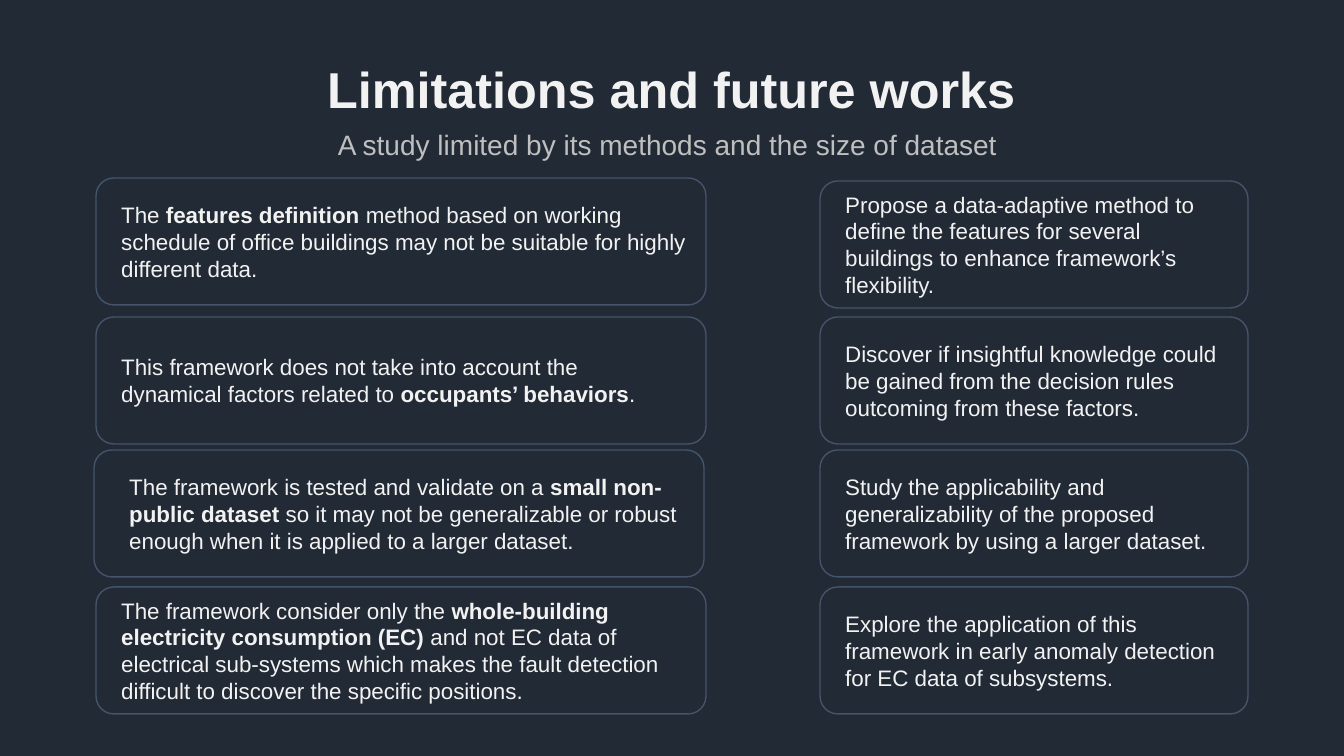
from pptx import Presentation
from pptx.dml.color import RGBColor
from pptx.enum.shapes import MSO_SHAPE
from pptx.enum.text import MSO_ANCHOR, PP_ALIGN
from pptx.util import Emu, Pt

ROUNDED = MSO_SHAPE.ROUNDED_RECTANGLE
MIDDLE, TOP = MSO_ANCHOR.MIDDLE, MSO_ANCHOR.TOP
CENTER, LEFT = PP_ALIGN.CENTER, PP_ALIGN.LEFT

EMU_PER_PX = 914400 / 100.8
FONT = "Arial"
COLORS = {
    "background": "222A35",
    "text": "F2F2F2",
    "subtitle": "BFBFBF",
    "outline": "44546A",
}
CARD_HEIGHT = 127
LIMITATION_WIDTH = 610
FUTURE_WORK_LEFT, FUTURE_WORK_WIDTH = 820, 428

LIMITATIONS = [
    (96, 178, 20, 10, [
        ("The", False),
        (" features definition ", True),
        ("method based on working schedule of office buildings may not be "
         "suitable for highly different data.", False),
    ]),
    (96, 317, 20, 20, [
        ("This framework does not take into account the dynamical factors "
         "related to ", False),
        ("occupants’ behaviors", True),
        (".", False),
    ]),
    (94, 450, 30, 10, [
        ("The framework is tested and validate on a ", False),
        ("small non-public dataset", True),
        (" so it may not be generalizable or robust enough when it is "
         "applied to a larger dataset.", False),
    ]),
    (96, 587, 20, 10, [
        ("The framework consider only the ", False),
        ("whole-building electricity consumption (EC) ", True),
        ("and not EC data of electrical sub-systems which makes the fault "
         "detection difficult to discover the specific positions.", False),
    ]),
]

FUTURE_WORKS = [
    (181, "Propose a data-adaptive method to define the features for several "
          "buildings to enhance framework’s flexibility."),
    (317, "Discover if insightful knowledge could be gained from the decision "
          "rules outcoming from these factors."),
    (450, "Study the applicability and generalizability of the proposed "
          "framework by using a larger dataset."),
    (587, "Explore the application of this framework in early anomaly "
          "detection for EC data of subsystems."),
]


def px(value):
    """Convert pixels to EMU."""
    return Emu(round(value * EMU_PER_PX))


def color(name):
    """Look up a named colour."""
    return RGBColor.from_string(COLORS[name])


def write_text(shape, runs, size, color_name, alignment, anchor, insets):
    """Fill a shape with one paragraph of (text, bold) runs."""
    frame = shape.text_frame
    frame.word_wrap = True
    frame.vertical_anchor = anchor
    frame.margin_left, frame.margin_right = map(px, insets)
    frame.margin_top = frame.margin_bottom = px(5)
    paragraph = frame.paragraphs[0]
    paragraph.alignment = alignment
    for text, bold in runs:
        run = paragraph.add_run()
        run.text = text
        run.font.name = FONT
        run.font.size = Pt(size)
        run.font.bold = bold
        run.font.color.rgb = color(color_name)
    return paragraph


def add_heading(slide, top, height, text, size, bold, color_name, anchor):
    """Add a centred heading line across the slide."""
    box = slide.shapes.add_textbox(px(92), px(top), px(1159), px(height))
    paragraph = write_text(box, [(text, bold)], size, color_name, CENTER,
                           anchor, (10, 10))
    paragraph.line_spacing = 0.9


def add_card(slide, left, top, width, runs, insets=(20, 10)):
    """Add an outlined rounded card with left-aligned text."""
    card = slide.shapes.add_shape(ROUNDED, px(left), px(top), px(width),
                                  px(CARD_HEIGHT))
    card.adjustments[0] = 0.14
    card.shadow.inherit = False
    card.fill.background()
    card.line.color.rgb = color("outline")
    card.line.width = Pt(1)
    write_text(card, runs, 16, "text", LEFT, MIDDLE, insets)


def main():
    """Build and save the slide."""
    presentation = Presentation()
    presentation.slide_width = px(1344)
    presentation.slide_height = px(756)
    slide = presentation.slides.add_slide(presentation.slide_layouts[6])
    slide.background.fill.solid()
    slide.background.fill.fore_color.rgb = color("background")

    add_heading(slide, 19, 146, "Limitations and future works", 36, True,
                "text", MIDDLE)
    add_heading(slide, 126, 40,
                "A study limited by its methods and the size of dataset ",
                20, False, "subtitle", TOP)
    for left, top, inset_left, inset_right, runs in LIMITATIONS:
        add_card(slide, left, top, LIMITATION_WIDTH, runs,
                 (inset_left, inset_right))
    for top, text in FUTURE_WORKS:
        add_card(slide, FUTURE_WORK_LEFT, top, FUTURE_WORK_WIDTH,
                 [(text, False)])

    presentation.save("out.pptx")


if __name__ == "__main__":
    main()
